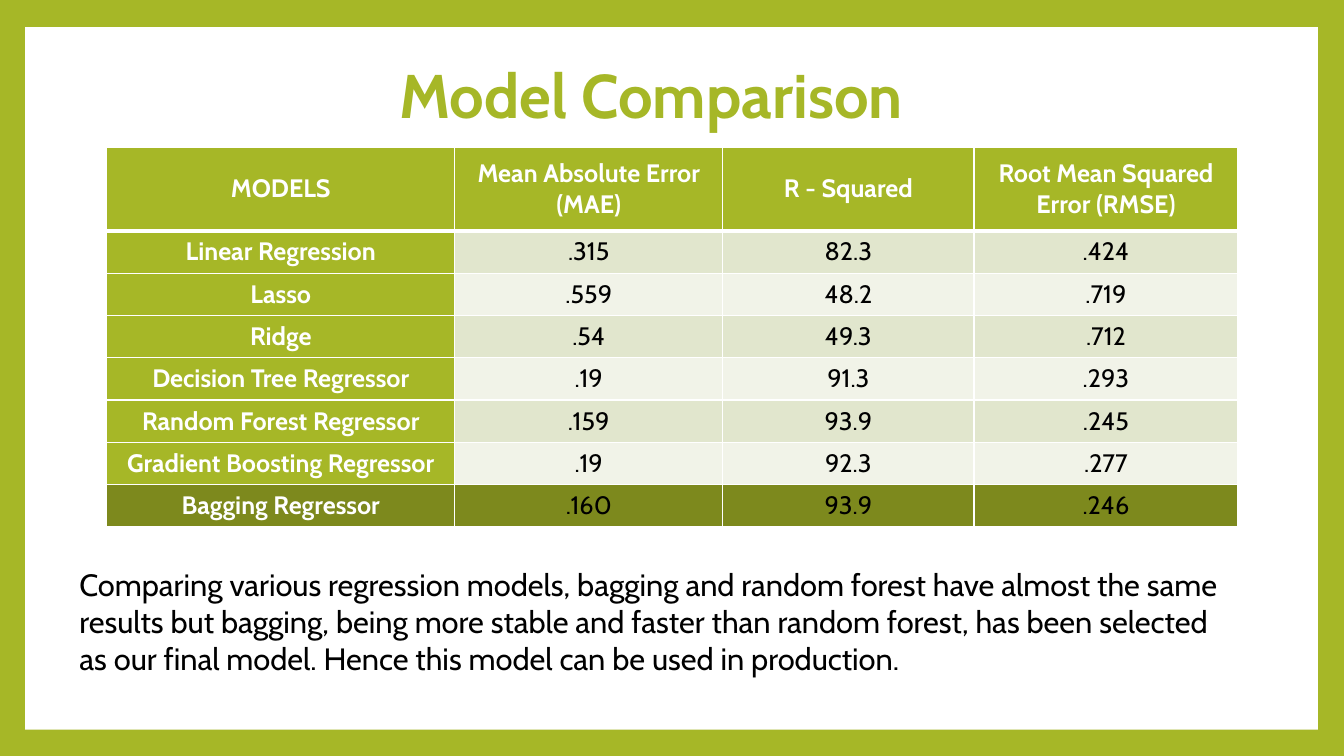
from dataclasses import dataclass
from typing import NamedTuple

import lxml.etree
import pptx
import pptx.dml.color
import pptx.enum.shapes
import pptx.enum.text
import pptx.oxml.ns
import pptx.slide
import pptx.table
import pptx.text.text
import pptx.util

Inches = pptx.util.Inches
Align = pptx.enum.text.PP_ALIGN
Anchor = pptx.enum.text.MSO_ANCHOR


@dataclass(frozen=True)
class Theme:
    font: str = "Cabin"
    lime: str = "A6B727"
    olive: str = "7D891D"
    bands: tuple[str, str] = ("E1E6CD", "F1F3E8")
    white: str = "FFFFFF"
    black: str = "000000"
    title: int = 44
    body: int = 22
    cell: int = 18
    rule: int = 1
    heavy: int = 3


class Box(NamedTuple):
    left: float
    top: float
    width: float
    height: float

    def place(self) -> list[pptx.util.Length]:
        return [Inches(side) for side in self]


class Model(NamedTuple):
    name: str
    mae: str
    score: str
    rmse: str


THEME = Theme()
HEADS = Model("MODELS", "Mean Absolute Error (MAE)", "R - Squared",
              "Root Mean Squared Error (RMSE)")
MODELS = [
    Model("Linear Regression", ".315", "82.3", ".424"),
    Model("Lasso", ".559", "48.2", ".719"),
    Model("Ridge", ".54", "49.3", ".712"),
    Model("Decision Tree Regressor", ".19", "91.3", ".293"),
    Model("Random Forest Regressor", ".159", "93.9", ".245"),
    Model("Gradient Boosting Regressor", ".19", "92.3", ".277"),
    Model("Bagging Regressor", ".160", "93.9", ".246"),
]
WIDTHS = (3.45, 2.66, 2.49, 2.62)
HEAD_ROW, MODEL_ROW = 0.83, 0.42


def color(code: str) -> pptx.dml.color.RGBColor:
    return pptx.dml.color.RGBColor.from_string(code)


def write(frame: pptx.text.text.TextFrame, text: str, size: int, ink: str,
          bold: bool, align: Align) -> None:
    frame.text = text
    frame.word_wrap = True
    line = frame.paragraphs[0]
    line.alignment = align
    font = line.runs[0].font
    font.name, font.size, font.bold = THEME.font, pptx.util.Pt(size), bold
    font.color.rgb = color(ink)


def add_text(slide: pptx.slide.Slide, box: Box, text: str, size: int,
             ink: str, bold: bool, align: Align) -> None:
    frame = slide.shapes.add_textbox(*box.place()).text_frame
    write(frame, text, size, ink, bold, align)


def add_rules(cell: pptx.table._Cell, top: int, bottom: int) -> None:
    props = cell._tc.get_or_add_tcPr()
    sides = {"L": THEME.rule, "R": THEME.rule, "T": top, "B": bottom}
    for spot, (side, width) in enumerate(sides.items()):
        line = lxml.etree.Element(pptx.oxml.ns.qn(f"a:ln{side}"),
                                  w=str(pptx.util.Pt(width)))
        fill = lxml.etree.SubElement(line, pptx.oxml.ns.qn("a:solidFill"))
        lxml.etree.SubElement(fill, pptx.oxml.ns.qn("a:srgbClr"),
                              val=THEME.white)
        props.insert(spot, line)


def cell_fill(row: int, col: int) -> str:
    if row == len(MODELS):
        return THEME.olive
    if row == 0 or col == 0:
        return THEME.lime
    return THEME.bands[(row - 1) % 2]


def add_grid(slide: pptx.slide.Slide, left: float, top: float) -> None:
    rows = [HEADS, *MODELS]
    heights = [HEAD_ROW] + [MODEL_ROW] * len(MODELS)
    box = Box(left, top, sum(WIDTHS), sum(heights))
    grid = slide.shapes.add_table(len(rows), len(WIDTHS), *box.place()).table
    for column, width in zip(grid.columns, WIDTHS):
        column.width = Inches(width)
    for r, (model, height) in enumerate(zip(rows, heights)):
        grid.rows[r].height = Inches(height)
        for c, text in enumerate(model):
            cell = grid.cell(r, c)
            label = r == 0 or c == 0
            write(cell.text_frame, text, THEME.cell,
                  THEME.white if label else THEME.black, label, Align.CENTER)
            cell.vertical_anchor = Anchor.MIDDLE
            cell.margin_left = cell.margin_right = Inches(0.07)
            cell.margin_top = cell.margin_bottom = 0
            cell.fill.solid()
            cell.fill.fore_color.rgb = color(cell_fill(r, c))
            add_rules(cell, THEME.heavy if r == 1 else THEME.rule,
                      THEME.heavy if r == 0 else THEME.rule)


deck = pptx.Presentation()
deck.slide_width, deck.slide_height = Inches(13.33), Inches(7.5)
slide = deck.slides.add_slide(deck.slide_layouts[6])

# Lime border around a white page
slide.background.fill.solid()
slide.background.fill.fore_color.rgb = color(THEME.lime)
page = slide.shapes.add_shape(pptx.enum.shapes.MSO_SHAPE.RECTANGLE,
                              *Box(0.25, 0.27, 12.82, 6.97).place())
page.shadow.inherit = False
page.fill.solid()
page.fill.fore_color.rgb = color(THEME.white)
page.line.fill.background()

# Title and conclusion
add_text(slide, Box(1.06, 0.52, 10.8, 0.84), "Model Comparison",
         THEME.title, THEME.lime, True, Align.CENTER)
add_text(slide, Box(0.69, 5.56, 11.6, 1.21),
         "Comparing various regression models, bagging and random forest "
         "have almost the same results but bagging, being more stable and "
         "faster than random forest, has been selected as our final model. "
         "Hence this model can be used in production.",
         THEME.body, THEME.black, False, Align.LEFT)

# Scores of each model
add_grid(slide, 1.06, 1.46)

deck.save("out.pptx")
